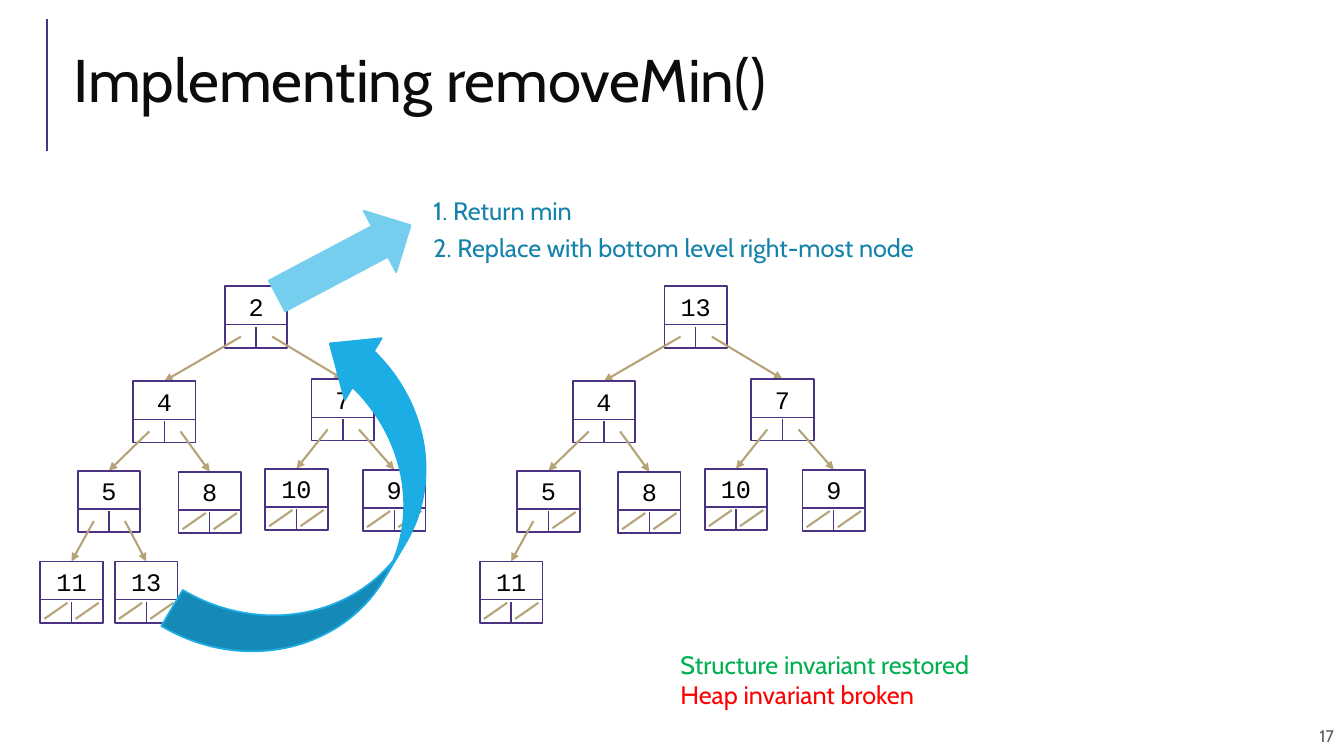
from lxml import etree
from pptx import Presentation
from pptx.dml.color import RGBColor
from pptx.enum.shapes import MSO_CONNECTOR, MSO_SHAPE
from pptx.enum.text import MSO_ANCHOR, PP_ALIGN
from pptx.oxml.ns import qn
from pptx.util import Inches, Pt

RECT = MSO_SHAPE.RECTANGLE
RIGHT_ARROW, CURVED_ARROW = MSO_SHAPE.RIGHT_ARROW, MSO_SHAPE.CURVED_RIGHT_ARROW
STRAIGHT = MSO_CONNECTOR.STRAIGHT
TOP, MIDDLE = MSO_ANCHOR.TOP, MSO_ANCHOR.MIDDLE
LEFT, CENTER, RIGHT = PP_ALIGN.LEFT, PP_ALIGN.CENTER, PP_ALIGN.RIGHT

PURPLE = RGBColor(0x4C, 0x32, 0x82)
TAN = RGBColor(0xB6, 0xA4, 0x79)
BLUE = RGBColor(0x1C, 0xAD, 0xE4)
LIGHT_BLUE = RGBColor(0x76, 0xCE, 0xEF)
DARK_BLUE = RGBColor(0x14, 0x82, 0xAB)
GREEN = RGBColor(0x00, 0xB0, 0x50)
RED = RGBColor(0xFF, 0x00, 0x00)
BLACK = RGBColor(0x00, 0x00, 0x00)
INK = RGBColor(0x0C, 0x0C, 0x0C)
GRAY = RGBColor(0x59, 0x59, 0x59)

NODE_W, NODE_H = 0.62, 0.61
HALF = NODE_W / 2
# Top-left corners of the nodes in level order
SLOTS = [(2.23, 2.84), (1.32, 3.78), (3.09, 3.76), (0.77, 4.67), (1.77, 4.68),
         (2.63, 4.65), (3.6, 4.66), (0.4, 5.57), (1.14, 5.57)]
TREE_SHIFT = 4.36
HEAP_BEFORE = [2, 4, 7, 5, 8, 10, 9, 11, 13]
HEAP_AFTER = [13, 4, 7, 5, 8, 10, 9, 11]


class Deck:
    body, mono = "Cabin", "Courier New"

    def __init__(self):
        self.prs = Presentation()
        self.prs.slide_width, self.prs.slide_height = Inches(13.33), Inches(7.5)
        self.s = self.prs.slides.add_slide(self.prs.slide_layouts[6])

    def text(self, box, lines, size=18, font=body, align=LEFT, anchor=TOP,
             pad=0.05, spacing=1.0, parent=None):
        """Each line is a (text, colour) pair."""
        tb = (parent or self.s).shapes.add_textbox(*map(Inches, box))
        tf = tb.text_frame
        frame = {"word_wrap": True, "vertical_anchor": anchor,
                 "margin_left": Inches(0.1), "margin_right": Inches(0.1),
                 "margin_top": Inches(pad), "margin_bottom": Inches(pad)}
        for name, value in frame.items():
            setattr(tf, name, value)
        for i, (words, color) in enumerate(lines):
            p = tf.add_paragraph() if i else tf.paragraphs[0]
            p.alignment, p.line_spacing = align, spacing
            r = p.add_run()
            r.text = words
            for name, value in {"name": font, "size": Pt(size)}.items():
                setattr(r.font, name, value)
            r.font.color.rgb = color

    def line(self, x1, y1, x2, y2, color, width, arrow=False, parent=None):
        c = (parent or self.s).shapes.add_connector(
            STRAIGHT, *map(Inches, (x1, y1, x2, y2)))
        c.line.color.rgb, c.line.width = color, Pt(width)
        if arrow:
            etree.SubElement(c.line._get_or_add_ln(), qn("a:tailEnd"), type="triangle")
        etree.SubElement(c._element.spPr, qn("a:effectLst"))

    def shape(self, kind, box, line, fill=None, rotation=0, adjust=(), parent=None):
        sp = (parent or self.s).shapes.add_shape(kind, *map(Inches, box))
        sp.shadow.inherit = False
        sp.rotation = rotation
        sp.line.color.rgb, sp.line.width = line, Pt(1.25)
        if fill is None:
            sp.fill.background()
        else:
            sp.fill.solid()
            sp.fill.fore_color.rgb = fill
        for i, value in enumerate(adjust):
            sp.adjustments[i] = value

    def node(self, x, y, value, empty):
        """A node with two pointer cells; empty flags the null pointers."""
        g = self.s.shapes.add_group_shape()
        self.shape(RECT, (x, y, NODE_W, NODE_H), PURPLE, parent=g)
        label_w = 0.2 + 0.15 * len(str(value))
        self.text((x + HALF - label_w / 2, y, label_w, 0.4), [(str(value), BLACK)],
                  font=self.mono, align=CENTER, parent=g)
        self.line(x, y + 0.38, x + NODE_W, y + 0.38, PURPLE, 1, parent=g)
        self.line(x + HALF, y + NODE_H, x + HALF, y + 0.4, PURPLE, 1, parent=g)
        for side, is_null in enumerate(empty):
            if is_null:
                left = x + side * HALF
                self.line(left + 0.27, y + 0.41, left + 0.04, y + 0.57, TAN, 1.5,
                          parent=g)

    def tree(self, values, shift=0):
        """A binary heap: the children of i are 2i + 1 and 2i + 2."""
        for i, value in enumerate(values):
            x, y = SLOTS[i][0] + shift, SLOTS[i][1]
            children = (2 * i + 1, 2 * i + 2)
            self.node(x, y, value, [c >= len(values) for c in children])
            for child, start in zip(children, (0.16, 0.47)):
                if child < len(values):
                    cx, cy = SLOTS[child]
                    self.line(x + start, y + 0.5, cx + shift + HALF, cy, TAN, 1.5,
                              arrow=True)


def main():
    d = Deck()

    # Title and slide number
    d.line(0.47, 1.5, 0.47, 0.19, PURPLE, 1.5)
    d.text((8.65, 7.1, 4.68, 0.4), [("17", GRAY)], size=12, align=RIGHT,
           anchor=MIDDLE, pad=0.1)
    d.text((0.63, 0.29, 12.23, 1.11), [("Implementing removeMin()", INK)], size=43,
           anchor=MIDDLE, spacing=0.8)

    # Heap before removal, with the two moves
    d.tree(HEAP_BEFORE)
    d.shape(CURVED_ARROW, (2.41, 3.27, 1.66, 3.62), BLUE, BLUE, 210.8,
            (0.25, 0.43, 0.25))
    d.shape(RIGHT_ARROW, (2.66, 2.24, 1.5, 0.69), LIGHT_BLUE, LIGHT_BLUE, 332.1,
            (0.5, 0.5))

    # Heap after removal
    d.tree(HEAP_AFTER, TREE_SHIFT)

    # Invariants and steps
    d.text((6.65, 6.39, 6.42, 0.7), [("Structure invariant restored", GREEN),
                                     ("Heap invariant broken", RED)])
    d.text((4.2, 1.89, 6.65, 0.4), [("1. Return min", DARK_BLUE)])
    d.text((4.2, 2.21, 8.89, 0.5),
           [("2. Replace with bottom level right-most node", DARK_BLUE)], pad=0.1)

    d.prs.save("out.pptx")


if __name__ == "__main__":
    main()
